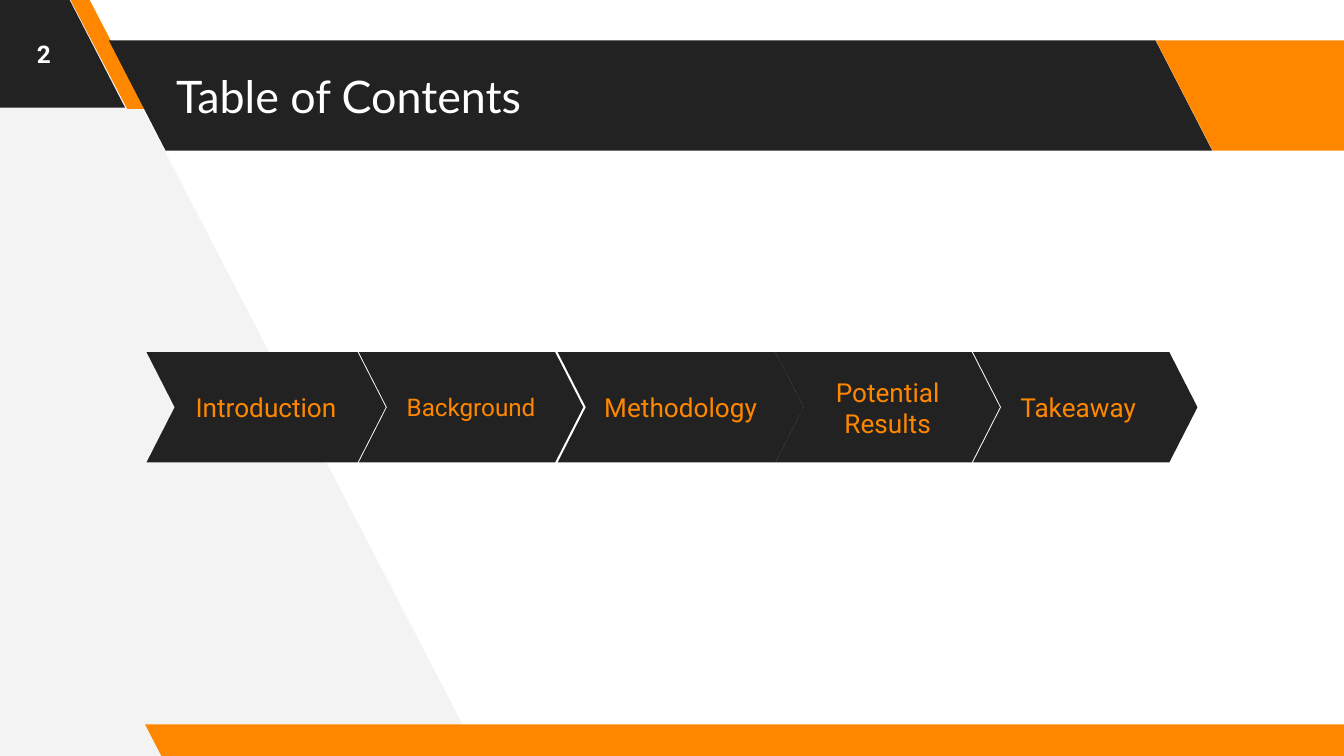
from typing import NamedTuple

from pptx import Presentation
from pptx.dml.color import RGBColor
from pptx.enum.shapes import MSO_SHAPE
from pptx.enum.text import MSO_ANCHOR, PP_ALIGN
from pptx.shapes.autoshape import Shape
from pptx.slide import Slide
from pptx.util import Inches, Pt

DARK, ORANGE, PALE, WHITE = "222222", "FF8700", "F3F3F3", "FFFFFF"
SLANT = 0.515
BAND_H = 0.82
WEDGE = [(3.56, 5.62), (0.62, -0.04), (-0.06, -0.04), (-0.02, 5.66)]


class Band(NamedTuple):
    left: float
    top: float
    width: float
    height: float
    color: str
    slant: float = SLANT


class Step(NamedTuple):
    text: str
    left: float
    width: float
    size: int = 14
    align: PP_ALIGN = PP_ALIGN.CENTER


BANDS = [
    Band(-0.99, -0.02, 1.92, BAND_H, DARK),
    Band(0.52, -0.01, 0.57, BAND_H, ORANGE, 0.75),
    Band(0.81, 0.3, 8.21, BAND_H, DARK),
    Band(8.6, 0.3, 1.92, BAND_H, ORANGE),
    Band(1.08, 5.39, 9.15, 0.25, ORANGE),
]

STEPS = [
    Step("Introduction", 1.09, 1.78),
    Step("Background", 2.67, 1.67, 13),
    Step("Methodology", 4.15, 1.83),
    Step("Potential\nResults", 5.77, 1.67),
    Step(" Takeaway", 7.24, 1.67, align=PP_ALIGN.LEFT),
]


def rgb(code: str) -> RGBColor:
    return RGBColor.from_string(code)


def paint(shape: Shape, color: str) -> None:
    """Give the shape a flat fill with no line or shadow."""
    shape.shadow.inherit = False
    shape.fill.solid()
    shape.fill.fore_color.rgb = rgb(color)
    shape.line.fill.background()


def write(shape: Shape, text: str, size: int, font: str, color: str,
          align: PP_ALIGN = PP_ALIGN.CENTER, bold: bool = False) -> None:
    frame = shape.text_frame
    frame.text = text
    frame.word_wrap = True
    frame.vertical_anchor = MSO_ANCHOR.MIDDLE
    frame.margin_left = frame.margin_right = Inches(0.1)
    frame.margin_top = frame.margin_bottom = Inches(0.1)
    for para in frame.paragraphs:
        para.alignment = align
        for run in para.runs:
            run.font.size = Pt(size)
            run.font.name = font
            run.font.bold = bold
            run.font.color.rgb = rgb(color)


def add_wedge(slide: Slide) -> None:
    """Draw the pale area down the left side."""
    start, *rest = [(Inches(x), Inches(y)) for x, y in WEDGE]
    path = slide.shapes.build_freeform(*start)
    path.add_line_segments(rest)
    paint(path.convert_to_shape(), PALE)


def add_band(slide: Slide, band: Band) -> None:
    shape = slide.shapes.add_shape(
        MSO_SHAPE.PARALLELOGRAM, Inches(band.left), Inches(band.top),
        Inches(band.width), Inches(band.height))
    shape.adjustments[0] = band.slant
    shape._element.spPr.get_or_add_xfrm().set("flipH", "1")
    paint(shape, band.color)


def add_step(slide: Slide, step: Step) -> None:
    shape = slide.shapes.add_shape(
        MSO_SHAPE.CHEVRON, Inches(step.left), Inches(2.62),
        Inches(step.width), Inches(BAND_H))
    shape.adjustments[0] = 0.255
    paint(shape, DARK)
    write(shape, step.text, step.size, "Roboto", ORANGE, step.align)


def add_title(slide: Slide, text: str) -> None:
    """Fill the title and raise it above the bands."""
    title = slide.shapes.title
    title.left, title.top = Inches(1.21), Inches(0.3)
    title.width, title.height = Inches(7.35), Inches(BAND_H)
    write(title, text, 24, "Lato", WHITE, PP_ALIGN.LEFT)
    slide.shapes._spTree.append(title._element)


def add_number(slide: Slide, text: str) -> None:
    box = slide.shapes.add_textbox(0, 0, Inches(0.65), Inches(0.8))
    write(box, text, 13, "Roboto", WHITE, bold=True)


def main() -> None:
    deck = Presentation()
    deck.slide_width = Inches(10)
    deck.slide_height = deck.slide_width * 9 // 16
    slide = deck.slides.add_slide(deck.slide_layouts[5])
    add_wedge(slide)
    for band in BANDS:
        add_band(slide, band)
    add_title(slide, "Table of Contents")
    add_number(slide, "2")
    for step in STEPS:
        add_step(slide, step)
    deck.save("out.pptx")


if __name__ == "__main__":
    main()
